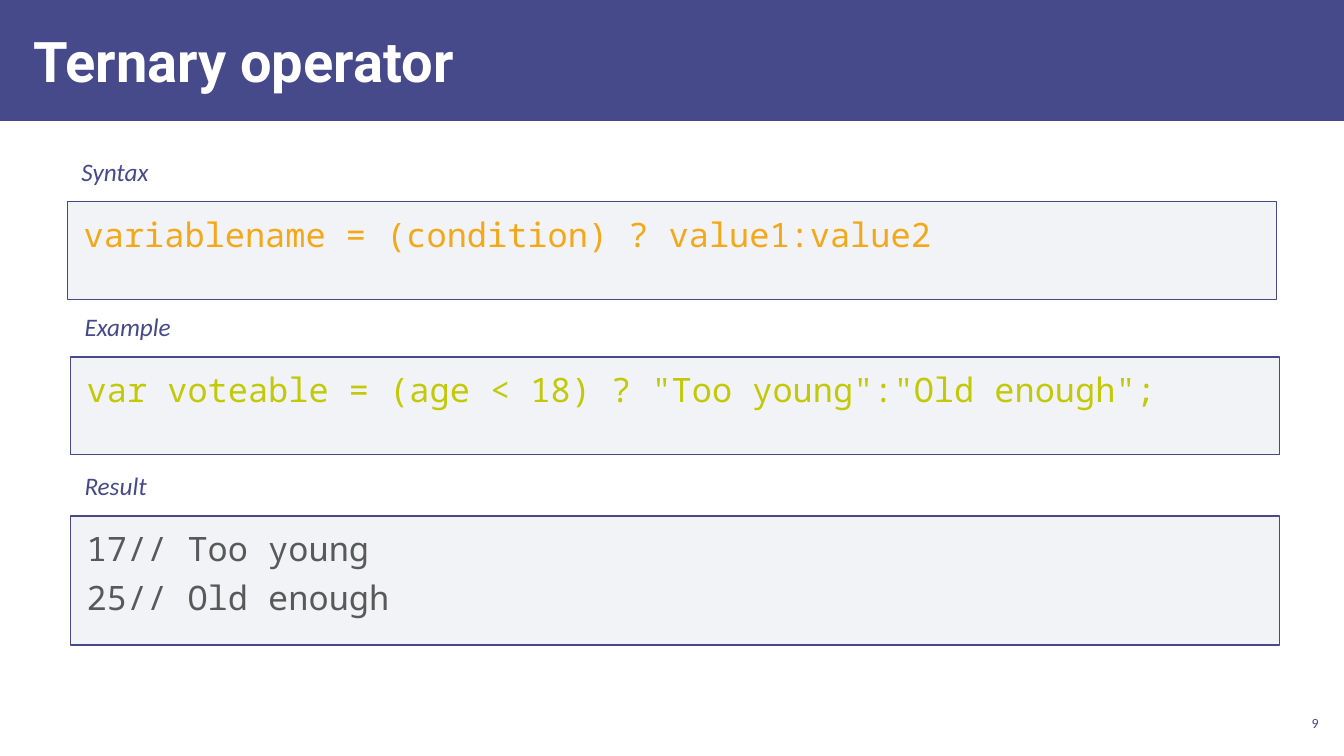
"""Build the slide that explains the ternary operator."""
from dataclasses import dataclass

from lxml import etree
from pptx import Presentation, util as u
from pptx.dml.color import RGBColor
from pptx.enum import shapes, text
from pptx.oxml.ns import qn


@dataclass(frozen=True)
class Theme:
    navy: str = "474A8A"
    white: str = "FFFFFF"
    pale: str = "ACB4C3"
    amber: str = "F2A818"
    lime: str = "C2C906"
    gray: str = "595959"
    head: str = "Roboto"
    body: str = "Calibri"
    code: str = "Noto Sans Mono"
    title: int = 40
    mono: int = 24
    label: int = 18
    note: int = 10


class Deck:
    def __init__(self, theme, wide, high):
        self.theme = theme
        self.show = Presentation()
        self.show.slide_width = self.px(wide)
        self.show.slide_height = self.px(high)
        self.slide = self.show.slides.add_slide(self.show.slide_layouts[6])

    def px(self, count):
        return u.Inches(count / 100)

    def rect(self, area, fill, line=None, alpha=None):
        shape = self.slide.shapes.add_shape(
            shapes.MSO_SHAPE.RECTANGLE, *map(self.px, area))
        shape.shadow.inherit = False
        shape.fill.solid()
        shape.fill.fore_color.rgb = RGBColor.from_string(fill)
        if alpha is not None:
            color = shape.element.spPr.find(".//" + qn("a:srgbClr"))
            etree.SubElement(color, qn("a:alpha"), val=str(alpha * 1000))
        if line:
            shape.line.color.rgb = RGBColor.from_string(line)
            shape.line.width = u.Pt(1)
        else:
            shape.line.fill.background()
        return shape

    def letter(self, shape, words, font, size, color, inset,
               anchor=text.MSO_ANCHOR.TOP, align=text.PP_ALIGN.LEFT,
               gap=0, bold=False, italic=False):
        frame = shape.text_frame
        frame.text = words
        frame.word_wrap = True
        frame.vertical_anchor = anchor
        side, edge = map(self.px, inset)
        frame.margin_left = frame.margin_right = side
        frame.margin_top = frame.margin_bottom = edge
        for index, para in enumerate(frame.paragraphs):
            para.alignment = align
            para.space_before = u.Pt(gap if index else 0)
            for run in para.runs:
                run.font.name = font
                run.font.size = u.Pt(size)
                run.font.bold = bold
                run.font.italic = italic
                run.font.color.rgb = RGBColor.from_string(color)

    def label(self, area, words, *style, **more):
        box = self.slide.shapes.add_textbox(*map(self.px, area))
        self.letter(box, words, *style, **more)

    def panel(self, left, top, high, name, code, color):
        t = self.theme
        self.label((left + 4, top - 55, 274, 42), name,
                   t.body, t.label, t.navy, (10, 10), italic=True)
        box = self.rect((left, top, 1199, high), t.pale, t.navy, 15)
        self.letter(box, code, t.code, t.mono, color, (16, 12), gap=6)


def main():
    t = Theme()
    deck = Deck(t, 1333, 750)
    deck.rect((0, 0, 1333, 120), t.navy)
    middle = text.MSO_ANCHOR.MIDDLE
    deck.label((21, 11, 1040, 97), "Ternary operator",
               t.head, t.title, t.white, (12, 4), anchor=middle, bold=True)
    panels = (
        (67, 200, 97, "Syntax",
         "variablename = (condition) ? value1:value2", t.amber),
        (70, 354, 97, "Example",
         'var voteable = (age < 18) ? "Too young":"Old enough";', t.lime),
        (70, 512, 128, "Result", "17// Too young\n25// Old enough", t.gray),
    )
    for panel in panels:
        deck.panel(*panel)
    deck.label((1265, 700, 47, 34), "9", t.body, t.note, t.navy, (4, 4),
               anchor=middle, align=text.PP_ALIGN.RIGHT)
    deck.show.save("out.pptx")


if __name__ == "__main__":
    main()
